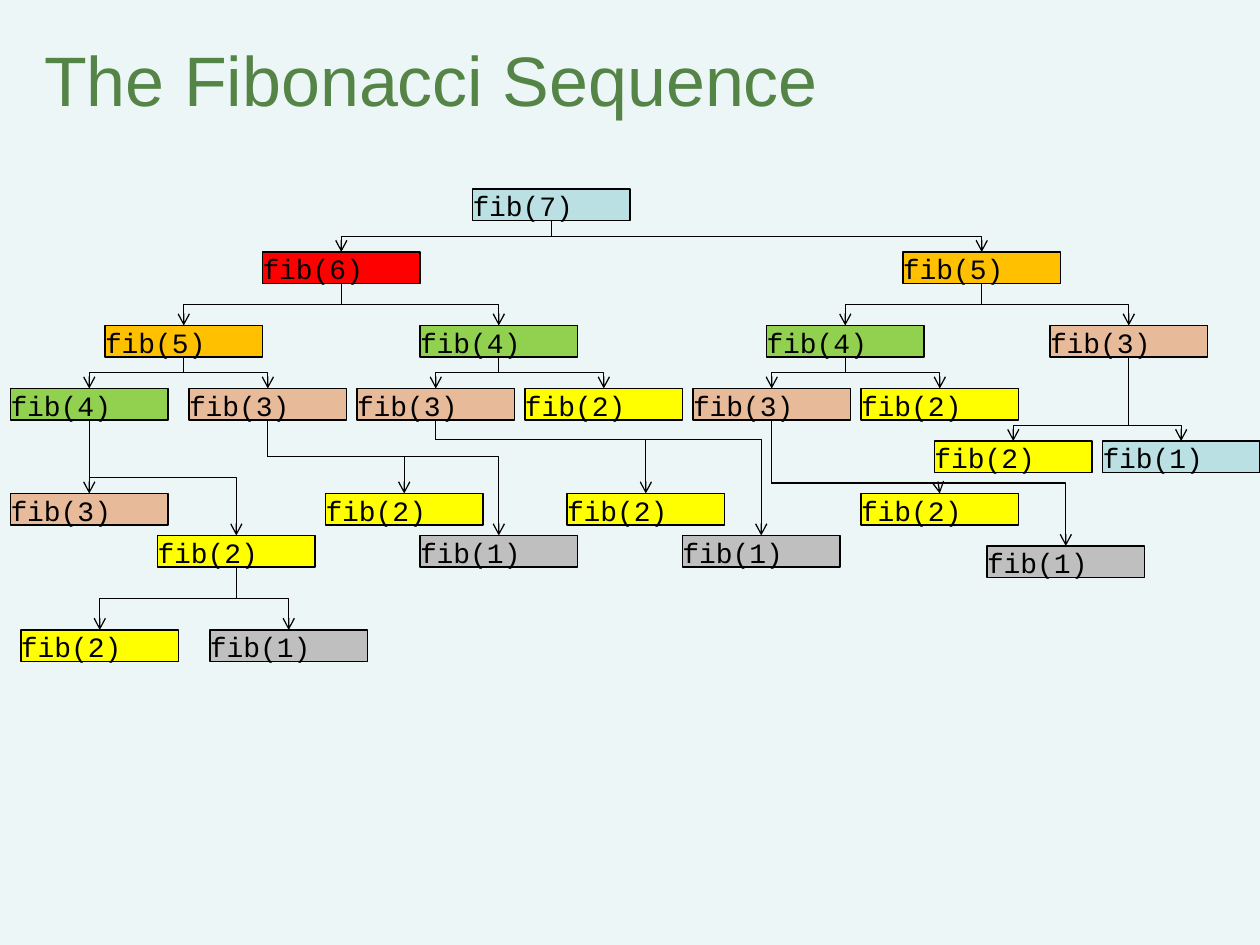
from lxml.etree import SubElement
from pptx import Presentation
from pptx.dml.color import RGBColor
from pptx.enum.shapes import MSO_CONNECTOR, MSO_SHAPE
from pptx.enum.text import MSO_ANCHOR, MSO_AUTO_SIZE, PP_ALIGN
from pptx.oxml.ns import qn
from pptx.util import Cm, Pt

# Content: calls as (key, n, column, row, parent); grid steps are 1/12 inch
TITLE = "The Fibonacci Sequence"
CALLS = [
    ("root", 7, 45, 18, None),
    ("L", 6, 25, 24, "root"), ("R", 5, 86, 24, "root"),
    ("LL", 5, 10, 31, "L"), ("LR", 4, 40, 31, "L"),
    ("RL", 4, 73, 31, "R"), ("RR", 3, 100, 31, "R"),
    ("LLL", 4, 1, 37, "LL"), ("LLR", 3, 18, 37, "LL"),
    ("LRL", 3, 34, 37, "LR"), ("LRR", 2, 50, 37, "LR"),
    ("RLL", 3, 66, 37, "RL"), ("RLR", 2, 82, 37, "RL"),
    ("RRL", 2, 89, 42, "RR"), ("RRR", 1, 105, 42, "RR"),
    ("LLLL", 3, 1, 47, "LLL"), ("LLLR", 2, 15, 51, "LLL"),
    ("LLRL", 2, 31, 47, "LLR"), ("LLRR", 1, 40, 51, "LLR"),
    ("LRLL", 2, 54, 47, "LRL"), ("LRLR", 1, 65, 51, "LRL"),
    ("RLLL", 2, 82, 47, "RLL"), ("RLLR", 1, 94, 52, "RLL"),
    ("LLLRL", 2, 2, 60, "LLLR"), ("LLLRR", 1, 20, 60, "LLLR"),
]
FILLS = {7: "BBE0E3", 6: "FF0000", 5: "FFC000", 4: "92D050",
         3: "E7BA9A", 2: "FFFF00", 1: "BFBFBF"}
SPECIAL = {"RRR": "BBE0E3"}
# Drop from a parent to its branch line, where it is not half way
DROPS = {"RR": 6.5, "LLR": 3.5, "LRL": 1.85, "RLL": 6}
WIDE, HIGH = 15, 3
INK = "000000"
FLAT = dict(margin_left=0, margin_right=0, margin_top=0, margin_bottom=0,
            word_wrap=True, vertical_anchor=MSO_ANCHOR.TOP)
HEAD = dict(word_wrap=True, auto_size=MSO_AUTO_SIZE.NONE,
            vertical_anchor=MSO_ANCHOR.MIDDLE)


def grid(n):
    return Cm(n * 2.54 / 12)


def tint(form, code):
    form.rgb = RGBColor.from_string(code)


def write(frame, text, looks, font):
    for name, value in looks.items():
        setattr(frame, name, value)
    frame.text = text
    line = frame.paragraphs[0]
    line.alignment = PP_ALIGN.LEFT
    run = line.runs[0]
    for name, value in font.items():
        if name == "color":
            tint(run.font.color, value)
        else:
            setattr(run.font, name, value)


def stroke(line):
    tint_line = line.color
    tint(tint_line, INK)
    line.width = Pt(0.75)


def draw_box(slide, key, n, col, row):
    box = slide.shapes.add_shape(MSO_SHAPE.RECTANGLE, grid(col), grid(row),
                                 grid(WIDE), grid(HIGH))
    box.shadow.inherit = False
    box.fill.solid()
    tint(box.fill.fore_color, SPECIAL.get(key, FILLS[n]))
    stroke(box.line)
    write(box.text_frame, f"fib({n})", FLAT,
          dict(name="Courier New", size=Pt(16), color=INK))
    return box


def draw_link(slide, top, low, drop):
    x, y = top.left + top.width // 2, top.top + top.height
    run, fall = low.left - top.left, low.top - y
    if run == 0:
        link = slide.shapes.add_connector(MSO_CONNECTOR.STRAIGHT, x, y, x, low.top)
        link.begin_connect(top, 2)
        link.end_connect(low, 0)
    else:
        # An elbow that leaves downward is a sideways one turned on its centre
        left = x + run // 2 - fall // 2
        head = y + fall // 2 - abs(run) // 2
        link = slide.shapes.add_connector(MSO_CONNECTOR.ELBOW, left, head,
                                          left + fall, head + abs(run))
        frame = link._element.spPr.find(qn("a:xfrm"))
        frame.set("rot", "5400000" if run < 0 else "16200000")
        if run > 0:
            frame.set("flipH", "1")
        if drop:
            bends = link._element.spPr.find(qn("a:prstGeom")).get_or_add_avLst()
            SubElement(bends, qn("a:gd"), name="adj1",
                       fmla=f"val {round(100000 * grid(drop) / fall)}")
    stroke(link.line)
    SubElement(link.line._get_or_add_ln(), qn("a:tailEnd"), type="arrow")
    SubElement(link._element.spPr, qn("a:effectLst"))


def main():
    deck = Presentation()
    deck.slide_width, deck.slide_height = Cm(25.4), Cm(19.05)
    slide = deck.slides.add_slide(deck.slide_layouts[5])
    back = slide.background.fill
    back.solid()
    tint(back.fore_color, "EDF6F7")

    # Title
    title = slide.shapes.title
    place = dict(left=grid(3), top=Cm(0), width=grid(111), height=grid(15))
    for name, value in place.items():
        setattr(title, name, value)
    write(title.text_frame, TITLE, HEAD,
          dict(name="Arial", size=Pt(40), color="548446"))

    # Call tree: boxes, then arrows from parent to child
    boxes = {key: draw_box(slide, key, n, col, row)
             for key, n, col, row, _ in CALLS}
    for key, _, _, _, up in CALLS:
        if up:
            draw_link(slide, boxes[up], boxes[key], DROPS.get(up))

    deck.save("out.pptx")


if __name__ == "__main__":
    main()
